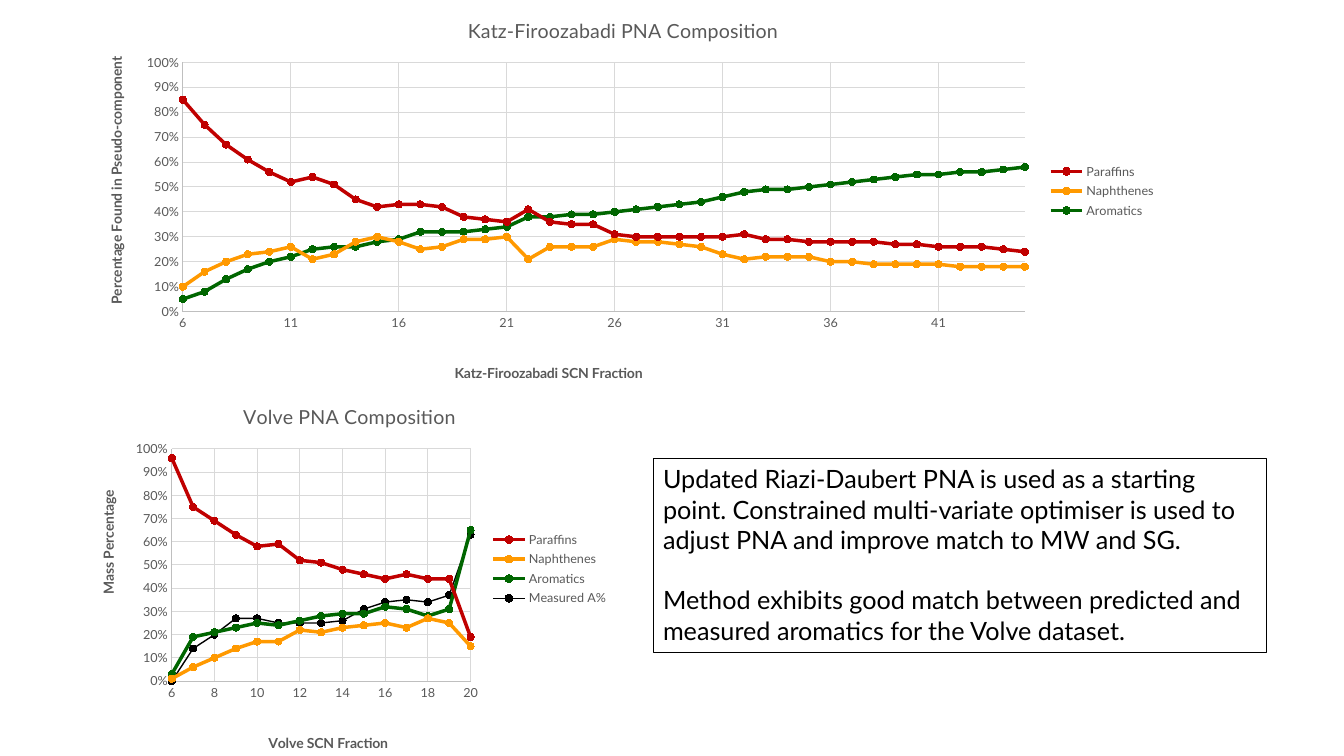
from dataclasses import dataclass

from lxml import etree
from pptx import Presentation
from pptx.chart.data import XyChartData
from pptx.dml.color import RGBColor
from pptx.enum.chart import XL_CHART_TYPE, XL_LEGEND_POSITION, XL_MARKER_STYLE, XL_TICK_MARK
from pptx.enum.text import MSO_AUTO_SIZE
from pptx.oxml.ns import qn
from pptx.util import Cm, Pt

SCATTER_LINES = XL_CHART_TYPE.XY_SCATTER_LINES
LEGEND_RIGHT = XL_LEGEND_POSITION.RIGHT
CIRCLE = XL_MARKER_STYLE.CIRCLE
NO_TICK = XL_TICK_MARK.NONE
GROW = MSO_AUTO_SIZE.SHAPE_TO_FIT_TEXT

FONT = "Lato"
FIRST_FRACTION = 6
COLORS = {
    "text": "000000", "label": "595959", "axis": "BFBFBF", "grid": "D9D9D9",
    "Paraffins": "C00000", "Naphthenes": "FF9900", "Aromatics": "006600", "Measured A%": "000000",
}
MARKER_FILLS = {
    "Paraffins": "FF9999", "Naphthenes": "FFCC66", "Aromatics": "99FF66", "Measured A%": "D9D9D9",
}
THIN_SERIES = "Measured A%"


@dataclass
class Box:
    """Slide position in centimetres; a title needs no size."""
    left: float
    top: float
    width: float = 0
    height: float = 0


@dataclass
class AxisSpec:
    title: str
    title_box: Box
    minimum: float
    maximum: float
    step: float
    number_format: str = "General"
    rotation: int = 0


@dataclass
class ChartSpec:
    title: str
    frame: Box
    plot: Box
    fraction_axis: AxisSpec
    share_axis: AxisSpec
    percentages: dict[str, list[int]]


VOLVE = ChartSpec(
    "Volve PNA Composition", Box(2.03, 9.73, 13.56, 9.32), Box(4.33, 11.33, 7.53, 5.92),
    AxisSpec("Volve SCN Fraction", Box(6.7, 18.52), 6, 20, 2),
    AxisSpec("Mass Percentage", Box(2.42, 12.35), 0, 1, 0.1, "0%", -90),
    {
        "Paraffins": [96, 75, 69, 63, 58, 59, 52, 51, 48, 46, 44, 46, 44, 44, 19],
        "Naphthenes": [1, 6, 10, 14, 17, 17, 22, 21, 23, 24, 25, 23, 27, 25, 15],
        "Aromatics": [3, 19, 21, 23, 25, 24, 26, 28, 29, 29, 32, 31, 28, 31, 65],
        "Measured A%": [0, 14, 20, 27, 27, 25, 25, 25, 26, 31, 34, 35, 34, 37, 63],
    },
)
KATZ = ChartSpec(
    "Katz-Firoozabadi PNA Composition", Box(2.03, 0, 27.36, 9.73), Box(4.61, 1.59, 21.22, 6.35),
    AxisSpec("Katz-Firoozabadi SCN Fraction", Box(11.39, 9.2), 6, 45, 5),
    AxisSpec("Percentage Found in Pseudo-component", Box(2.62, 1.44), 0, 1, 0.1, "0%", -90),
    {
        "Paraffins": [
            85, 75, 67, 61, 56, 52, 54, 51, 45, 42, 43, 43, 42, 38, 37, 36, 41, 36, 35, 35, 31, 30, 30,
            30, 30, 30, 31, 29, 29, 28, 28, 28, 28, 27, 27, 26, 26, 26, 25, 24, 24, 24, 23, 23, 22],
        "Naphthenes": [
            10, 16, 20, 23, 24, 26, 21, 23, 28, 30, 28, 25, 26, 29, 29, 30, 21, 26, 26, 26, 29, 28, 28,
            27, 26, 23, 21, 22, 22, 22, 20, 20, 19, 19, 19, 19, 18, 18, 18, 18, 18, 17, 17, 17, 17],
        "Aromatics": [
            5, 8, 13, 17, 20, 22, 25, 26, 26, 28, 29, 32, 32, 32, 33, 34, 38, 38, 39, 39, 40, 41, 42,
            43, 44, 46, 48, 49, 49, 50, 51, 52, 53, 54, 55, 55, 56, 56, 57, 58, 58, 59, 59, 60, 60],
    },
)
NOTE_BOX = Box(16.46, 11.56, 15.47, 4.88)
NOTES = [
    "Updated Riazi-Daubert PNA is used as a starting point. Constrained multi-variate optimiser "
    "is used to adjust PNA and improve match to MW and SG.",
    "Method exhibits good match between predicted and measured aromatics for the Volve dataset.",
]


def box_lengths(box: Box) -> list[Cm]:
    return [Cm(length) for length in (box.left, box.top, box.width, box.height)]


def style_font(font, size: float, color: str, bold: bool = False) -> None:
    font.name, font.size, font.bold = FONT, Pt(size), bold
    font.color.rgb = RGBColor.from_string(COLORS[color])


def style_line(line, color: str, width: float) -> None:
    line.color.rgb = RGBColor.from_string(COLORS[color])
    line.width = Pt(width)


def set_layout(parent, index: int, box: Box, frame: Box) -> None:
    """Place a chart part by fractions of the chart frame."""
    for old_layout in parent.findall(qn("c:layout")):
        parent.remove(old_layout)
    layout = etree.Element(qn("c:layout"))
    manual = etree.SubElement(layout, qn("c:manualLayout"))
    settings = {"xMode": "edge", "yMode": "edge",
                "x": (box.left - frame.left) / frame.width,
                "y": (box.top - frame.top) / frame.height}
    if box.width:
        settings = {"layoutTarget": "inner", **settings,
                    "w": box.width / frame.width, "h": box.height / frame.height}
    for tag, value in settings.items():
        etree.SubElement(manual, qn(f"c:{tag}")).set("val", str(value))
    parent.insert(index, layout)


def set_title(title, text: str, size: float, bold: bool) -> None:
    para = title.text_frame.paragraphs[0]
    para.text = text
    style_font(para.runs[0].font, size, "label", bold)


def style_axis(axis, spec: AxisSpec, frame: Box) -> None:
    axis.minimum_scale, axis.maximum_scale = spec.minimum, spec.maximum
    axis.major_unit = spec.step
    axis.major_tick_mark = axis.minor_tick_mark = NO_TICK
    axis.has_major_gridlines = True
    style_line(axis.major_gridlines.format.line, "grid", 0.75)
    style_line(axis.format.line, "axis", 0.75)
    labels = axis.tick_labels
    labels.number_format, labels.number_format_is_linked = spec.number_format, False
    style_font(labels.font, 9, "label")
    set_title(axis.axis_title, spec.title, 10, True)
    title = axis.axis_title.element
    title.find(".//" + qn("a:bodyPr")).set("rot", str(spec.rotation * 60000))
    set_layout(title, 1, spec.title_box, frame)


def style_series(series) -> None:
    name = series.name
    series.smooth = False
    style_line(series.format.line, name, 1 if name == THIN_SERIES else 2.5)
    marker = series.marker
    marker.style, marker.size = CIRCLE, 5
    marker.format.fill.solid()
    marker.format.fill.fore_color.rgb = RGBColor.from_string(MARKER_FILLS[name])
    style_line(marker.format.line, name, 0.75)


def add_composition_chart(page, spec: ChartSpec) -> None:
    data = XyChartData(number_format="0%")
    for name, percentages in spec.percentages.items():
        series = data.add_series(name)
        for fraction, percentage in enumerate(percentages, FIRST_FRACTION):
            series.add_data_point(fraction, percentage / 100)
    chart = page.shapes.add_chart(SCATTER_LINES, *box_lengths(spec.frame), data).chart
    style_font(chart.font, 10, "text")
    chart.has_title = True
    set_title(chart.chart_title, spec.title, 14, False)
    chart.has_legend = True
    chart.legend.position = LEGEND_RIGHT
    chart.legend.include_in_layout = False
    style_font(chart.legend.font, 9, "label")
    style_axis(chart.category_axis, spec.fraction_axis, spec.frame)
    style_axis(chart.value_axis, spec.share_axis, spec.frame)
    set_layout(chart.element.find(".//" + qn("c:plotArea")), 0, spec.plot, spec.frame)
    plot = chart.plots[0]
    plot.vary_by_categories = False
    for series in plot.series:
        style_series(series)


def add_notes_box(page) -> None:
    box = page.shapes.add_textbox(*box_lengths(NOTE_BOX))
    style_line(box.line, "text", 0.75)
    frame = box.text_frame
    frame.word_wrap = True
    frame.auto_size = GROW
    frame.text = "\n".join(NOTES)
    for para in frame.paragraphs:
        style_font(para.runs[0].font, 18, "text")
    frame.paragraphs[0].space_after = Pt(21.6)


def main() -> None:
    deck = Presentation()
    deck.slide_width, deck.slide_height = Cm(33.87), Cm(19.05)
    page = deck.slides.add_slide(deck.slide_layouts[6])
    for spec in (VOLVE, KATZ):
        add_composition_chart(page, spec)
    add_notes_box(page)
    deck.save("out.pptx")


if __name__ == "__main__":
    main()
